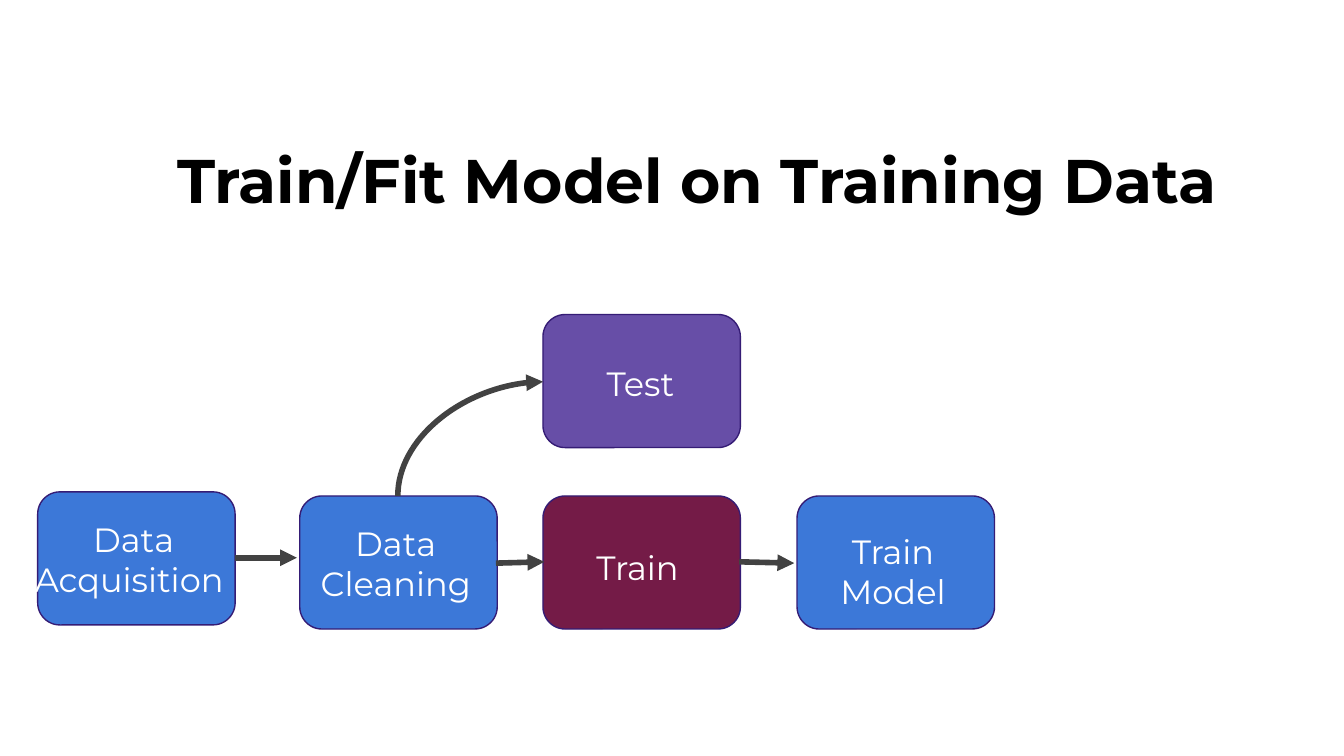
"""Build a slide showing a data split followed by model training."""
import dataclasses

import lxml.etree
import pptx
import pptx.dml.color
import pptx.enum.shapes
import pptx.enum.text
import pptx.oxml.ns
import pptx.util


@dataclasses.dataclass(frozen=True)
class Theme:
    font: str = "Montserrat"
    title_size: float = 33
    label_size: float = 18
    title_color: str = "000000"
    label_color: str = "FFFFFF"
    step_fill: str = "3C78D8"
    test_fill: str = "674EA7"
    train_fill: str = "741B47"
    outline: str = "351C75"
    arrow: str = "424242"
    outline_width: float = 0.75
    arrow_width: float = 3
    inset: float = 7.2
    node_width: float = 105.8
    node_height: float = 71.3
    label_height: float = 47.5


def points(*values):
    return [pptx.util.Pt(value) for value in values]


def color(value):
    return pptx.dml.color.RGBColor.from_string(value)


class FlowSlide:
    def __init__(self, slide, theme):
        self.slide = slide
        self.theme = theme

    def text(self, box, content, size, text_color, alignment, bold=False, line_spacing=1.0):
        shape = self.slide.shapes.add_textbox(*points(*box))
        frame = shape.text_frame
        frame.word_wrap = True
        frame.vertical_anchor = pptx.enum.text.MSO_ANCHOR.TOP
        inset = pptx.util.Pt(self.theme.inset)
        frame.margin_left = frame.margin_right = inset
        frame.margin_top = frame.margin_bottom = inset
        frame.text = content
        for paragraph in frame.paragraphs:
            paragraph.alignment = alignment
            paragraph.line_spacing = line_spacing
            for run in paragraph.runs:
                run.font.name = self.theme.font
                run.font.size = pptx.util.Pt(size)
                run.font.bold = bold
                run.font.color.rgb = color(text_color)

    def title(self, box, content):
        self.text(box, content, self.theme.title_size, self.theme.title_color,
                  pptx.enum.text.PP_ALIGN.LEFT, bold=True, line_spacing=0.9)

    def node(self, left, top, fill, content, label_center, label_top, label_width):
        theme = self.theme
        shape = self.slide.shapes.add_shape(
            pptx.enum.shapes.MSO_SHAPE.ROUNDED_RECTANGLE,
            *points(left, top, theme.node_width, theme.node_height))
        shape.shadow.inherit = False
        shape.fill.solid()
        shape.fill.fore_color.rgb = color(fill)
        shape.line.color.rgb = color(theme.outline)
        shape.line.width = pptx.util.Pt(theme.outline_width)
        box = (label_center - label_width / 2, label_top, label_width, theme.label_height)
        self.text(box, content, theme.label_size, theme.label_color,
                  pptx.enum.text.PP_ALIGN.CENTER)

    def arrow(self, start, end, kind=pptx.enum.shapes.MSO_CONNECTOR.STRAIGHT):
        connector = self.slide.shapes.add_connector(kind, *points(*start, *end))
        connector.line.color.rgb = color(self.theme.arrow)
        connector.line.width = pptx.util.Pt(self.theme.arrow_width)
        qualified = pptx.oxml.ns.qn
        line = connector.line._get_or_add_ln()
        lxml.etree.SubElement(line, qualified("a:tailEnd"), type="triangle")
        properties = connector._element.spPr
        lxml.etree.SubElement(properties, qualified("a:effectLst"))
        return connector

    def rising_arrow(self, start, end):
        center_x, center_y = (start[0] + end[0]) / 2, (start[1] + end[1]) / 2
        half_width, half_height = (start[1] - end[1]) / 2, (end[0] - start[0]) / 2
        connector = self.arrow((center_x - half_width, center_y - half_height),
                               (center_x + half_width, center_y + half_height),
                               pptx.enum.shapes.MSO_CONNECTOR.CURVE)
        properties = connector._element.spPr
        properties.find(pptx.oxml.ns.qn("a:xfrm")).set("rot", str(270 * 60000))
        properties.find(pptx.oxml.ns.qn("a:prstGeom")).set("prst", "curvedConnector2")


def main():
    theme = Theme()
    presentation = pptx.Presentation()
    presentation.slide_width, presentation.slide_height = points(720, 405)
    flow = FlowSlide(presentation.slides.add_slide(presentation.slide_layouts[6]), theme)
    flow.title((87.8, 73.4, 613.4, 45.4), "Train/Fit Model on Training Data")

    nodes = [
        (20.2, 263.5, theme.step_fill, "Data\nAcquisition ", 71.6, 270.7, 123),
        (160.6, 265.7, theme.step_fill, "Data\nCleaning", 212, 272.9, 123),
        (290.9, 168.5, theme.test_fill, "Test", 343.1, 187.2, 80),
        (290.9, 265.7, theme.train_fill, "Train", 341.6, 285.8, 80),
        (427, 265.7, theme.step_fill, "Train\nModel", 478.4, 277.2, 123),
    ]
    for node in nodes:
        flow.node(*node)

    flow.arrow((126, 298.8), (159.1, 298.8))
    flow.rising_arrow((213.1, 265.7), (290.9, 204.5))
    flow.arrow((265.7, 301.7), (291.6, 301))
    flow.arrow((396, 301), (425.5, 301.7))
    presentation.save("out.pptx")


if __name__ == "__main__":
    main()
